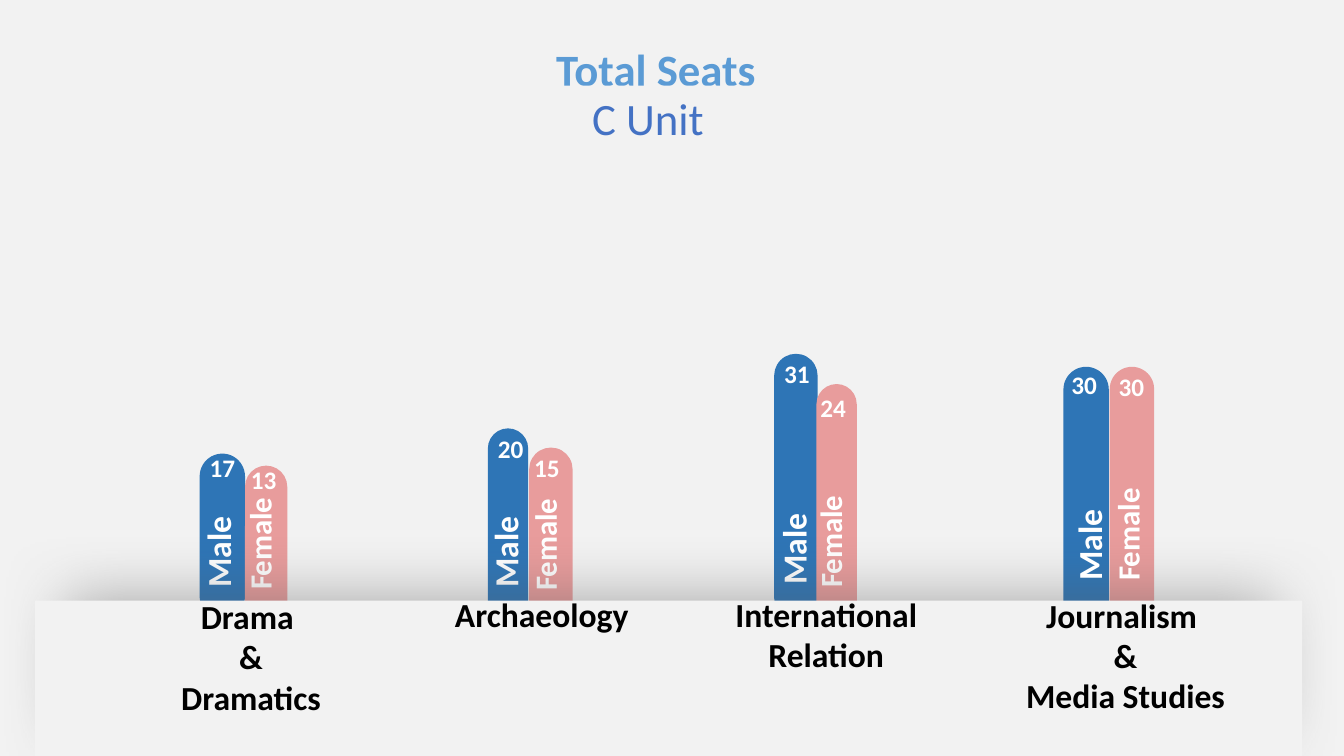
from dataclasses import dataclass

from pptx import Presentation
from pptx.dml.color import RGBColor
from pptx.enum.shapes import MSO_SHAPE as Kind
from pptx.enum.text import MSO_AUTO_SIZE as Fit, PP_ALIGN as Align
from pptx.oxml import parse_xml
from pptx.oxml.ns import nsdecls, qn
from pptx.util import Pt

PALE = RGBColor(0xF2, 0xF2, 0xF2)
BLUE = RGBColor(0x2E, 0x75, 0xB6)
PINK = RGBColor(0xE8, 0x9C, 0x9C)
SKY = RGBColor(0x5B, 0x9B, 0xD5)
WHITE = RGBColor(0xFF, 0xFF, 0xFF)
BLACK = RGBColor(0x00, 0x00, 0x00)
NAVY = RGBColor(0x20, 0x38, 0x64)
ROYAL = RGBColor(0x44, 0x72, 0xC4)
MIST = RGBColor(0x8F, 0xAA, 0xDC)
SMOKE = RGBColor(0x59, 0x59, 0x59)


@dataclass(frozen=True)
class Box:
    """Place and size in points."""
    x: float
    y: float
    w: float
    h: float

    def cut(self) -> tuple:
        """Return the four lengths for a new shape."""
        return Pt(self.x), Pt(self.y), Pt(self.w), Pt(self.h)


@dataclass(frozen=True)
class Sex:
    """Look shared by all bars of one sex."""
    name: str
    hue: RGBColor
    size: float
    span: float
    deep: float
    wrap: bool


@dataclass(frozen=True)
class Bar:
    """One bar with its seat count and upright tag."""
    sex: Sex
    seats: int
    box: Box
    count: tuple
    tag: tuple


@dataclass(frozen=True)
class Dept:
    """One department with its bars and caption."""
    lines: tuple
    box: Box
    bars: tuple


MALE = Sex("Male", BLUE, 24, 80.6, 36, True)
FEMALE = Sex("Female", PINK, 22, 81.4, 33.8, False)
LONG = Sex("Female", PINK, 22, 169.2, 33.8, True)

DEPTS = (
    Dept(("Drama ", "& Dramatics"), Box(112.3, 422, 134, 94.3), (
        Bar(MALE, 17, Box(142.6, 324, 32.4, 118), (142.6, 319.7), (115.2, 368.6)),
        Bar(FEMALE, 13, Box(175, 332.6, 30.2, 114.5), (172.1, 328.3), (144.7, 370.8)))),
    Dept(("Archaeology",), Box(284.4, 420.5, 205.2, 36), (
        Bar(MALE, 20, Box(348.5, 306, 28.8, 136.8), (348.5, 306), (320.4, 368.6)),
        Bar(FEMALE, 15, Box(378, 319.7, 31, 130.3), (374.4, 319.7), (348.5, 371.5)))),
    Dept(("International Relation",), Box(489, 420.5, 202.3, 65.5), (
        Bar(MALE, 31, Box(553, 252.7, 31, 190), (553, 252.7), (526.3, 366.5)),
        Bar(FEMALE, 24, Box(583.2, 274.3, 28.8, 170), (578.9, 276.5), (552.2, 369.4)))),
    Dept(("Journalism ", "&", "Media Studies"), Box(721.4, 421.2, 165, 94.3), (
        Bar(MALE, 30, Box(759.6, 262, 32.4, 210.2), (758.2, 260.6), (737.3, 363.6)),
        Bar(LONG, 30, Box(792.7, 262, 31.7, 188.6), (792, 262), (720.7, 320.4)))),
)


def block(slide, kind, box: Box, hue: RGBColor):
    """Draw a plain filled shape."""
    shape = slide.shapes.add_shape(kind, *box.cut())
    shape.shadow.inherit = False
    shape.fill.solid()
    shape.fill.fore_color.rgb = hue
    shape.line.fill.background()
    return shape


def write(shape, lines: tuple, size: float, hue: RGBColor,
          align=Align.LEFT, bold: bool = True, wrap: bool = True) -> None:
    """Write lines into a shape, one paragraph each."""
    frame = shape.text_frame
    frame.word_wrap = wrap
    frame.auto_size = Fit.SHAPE_TO_FIT_TEXT
    for spot, line in enumerate(lines):
        para = frame.add_paragraph() if spot else frame.paragraphs[0]
        para.alignment = align
        run = para.add_run()
        run.text = line
        run.font.name = "Calibri"
        run.font.size = Pt(size)
        run.font.bold = bold
        run.font.color.rgb = hue


def label(slide, box: Box, lines: tuple, size: float, hue: RGBColor,
          align=Align.LEFT, wrap: bool = True, turn: float = 0) -> None:
    """Add a text box."""
    text = slide.shapes.add_textbox(*box.cut())
    text.rotation = turn
    write(text, lines, size, hue, align, wrap=wrap)


def mark(slide, dept: Dept) -> None:
    """Add the counts and tags of a department."""
    for bar in dept.bars:
        sex = bar.sex
        label(slide, Box(*bar.tag, sex.span, sex.deep), (sex.name,),
              sex.size, WHITE, wrap=sex.wrap, turn=270)
        label(slide, Box(*bar.count, 36, 29), (str(bar.seats),), 18, WHITE)


def shade(shape) -> None:
    """Cast a soft shadow upward."""
    glow = parse_xml(
        f'<a:outerShdw {nsdecls("a")} blurRad="{Pt(47)}" dist="{Pt(4)}" '
        f'dir="16200000" rotWithShape="0"><a:srgbClr val="{SMOKE}">'
        '<a:alpha val="50000"/></a:srgbClr></a:outerShdw>')
    shape._element.spPr.find(qn("a:effectLst")).append(glow)


def blend(run, hues: tuple) -> None:
    """Colour a run with an even downward gradient."""
    step = 100000 // (len(hues) - 1)
    stops = "".join(f'<a:gs pos="{spot * step}"><a:srgbClr val="{hue}"/></a:gs>'
                    for spot, hue in enumerate(hues))
    props = run._r.get_or_add_rPr()
    props.replace(props.find(qn("a:solidFill")), parse_xml(
        f'<a:gradFill {nsdecls("a")}><a:gsLst>{stops}</a:gsLst>'
        '<a:lin ang="5400000"/></a:gradFill>'))


def build() -> None:
    """Build and save the slide."""
    deck = Presentation()
    deck.slide_width, deck.slide_height = Pt(960), Pt(540)
    slide = deck.slides.add_slide(deck.slide_layouts[6])
    slide.background.fill.solid()
    slide.background.fill.fore_color.rgb = PALE

    for dept in DEPTS:
        for bar in dept.bars:
            pill = block(slide, Kind.ROUNDED_RECTANGLE, bar.box, bar.sex.hue)
            pill.adjustments[0] = 0.5
    *early, last = DEPTS
    for dept in early:
        mark(slide, dept)
    shade(block(slide, Kind.RECTANGLE, Box(47.5, 432, 861.8, 94.3), PALE))
    block(slide, Kind.RECTANGLE, Box(25.2, 429, 905, 112.3), PALE)
    mark(slide, last)
    for dept in DEPTS:
        label(slide, dept.box, dept.lines, 24, BLACK, Align.CENTER)

    label(slide, Box(285, 26.6, 367.2, 46), ("Total Seats",), 32, SKY, Align.CENTER)
    unit = block(slide, Kind.RECTANGLE, Box(350.6, 61.2, 224.6, 46), PALE)
    write(unit, ("C Unit",), 32, ROYAL, Align.CENTER, bold=False)
    blend(unit.text_frame.paragraphs[0].runs[0], (NAVY, ROYAL, MIST))
    deck.save("out.pptx")


build()
